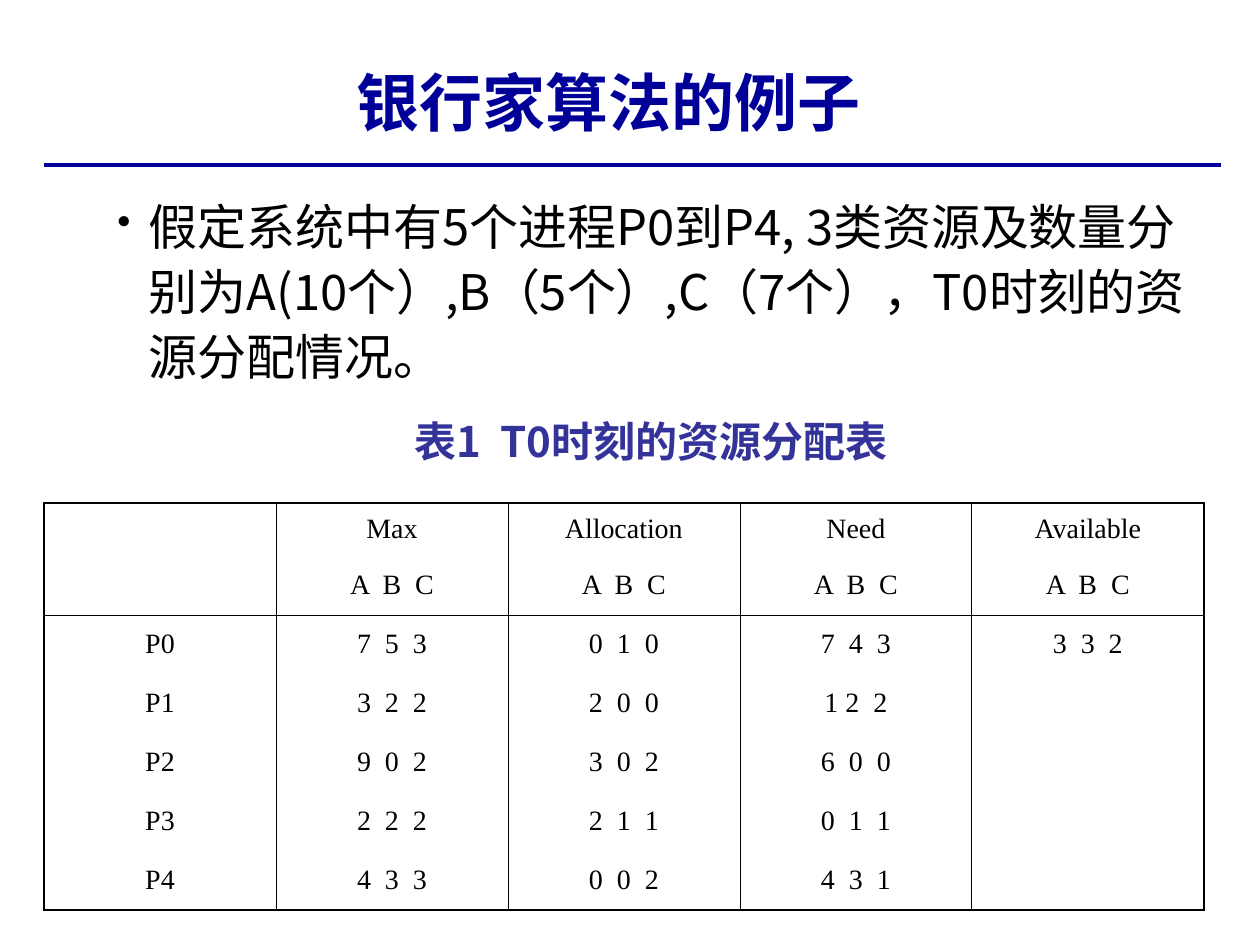
import pptx
import pptx.util
import pptx.dml.color
import pptx.enum.shapes
import pptx.enum.text
import pptx.oxml
import pptx.oxml.ns
from lxml import etree

RGB = pptx.dml.color.RGBColor
ALIGN = pptx.enum.text.PP_ALIGN
ANCHOR = pptx.enum.text.MSO_ANCHOR
Pt = pptx.util.Pt
qn = pptx.oxml.ns.qn

NAVY = RGB(0x00, 0x00, 0x99)
INDIGO = RGB(0x33, 0x33, 0x99)
BLACK = RGB(0x00, 0x00, 0x00)
SANS = "Noto Sans CJK SC"
SERIF = "Times New Roman"
SCALE = 914400 / 126
THICK, THIN = 1.08, 0.45

TITLE = {"name": SANS, "size": Pt(36), "bold": True}
BODY = {"name": SANS, "size": Pt(28), "bold": False}
LABEL = {"name": SANS, "size": Pt(24), "bold": True}
CELL = {"name": SERIF, "size": Pt(16), "bold": False}

ROWS = [
    ["", "Max", "Allocation", "Need", "Available"],
    ["", "A  B  C", "A  B  C", "A  B  C", "A  B  C"],
    ["P0", "7  5  3", "0  1  0", "7  4  3", "3  3  2"],
    ["P1", "3  2  2", "2  0  0", "1 2  2", ""],
    ["P2", "9  0  2", "3  0  2", "6  0  0", ""],
    ["P3", "2  2  2", "2  1  1", "0  1  1", ""],
    ["P4", "4  3  3", "0  0  2", "4  3  1", ""],
]


def px(num):
    return pptx.util.Emu(round(num * SCALE))


def write(para, text, form, color):
    run = para.add_run()
    run.text = text
    for key, value in form.items():
        setattr(run.font, key, value)
    run.font.color.rgb = color
    east = etree.SubElement(run.font._element, qn("a:ea"))
    east.set("typeface", form["name"])


def add_title(slide, text):
    shape = slide.shapes.title
    box = {"left": 230, "top": 35, "width": 756, "height": 110}
    for key, value in box.items():
        setattr(shape, key, px(value))
    frame = shape.text_frame
    frame.vertical_anchor = ANCHOR.BOTTOM
    para = frame.paragraphs[0]
    para.alignment = ALIGN.CENTER
    write(para, text, TITLE, NAVY)


def add_rule(slide, left, right, top):
    line = slide.shapes.add_connector(
        pptx.enum.shapes.MSO_CONNECTOR.STRAIGHT,
        px(left), px(top), px(right), px(top))
    line.line.color.rgb = NAVY
    line.line.width = Pt(2.5)
    etree.SubElement(line._element.spPr, qn("a:effectLst"))


def add_text(slide, box, text, form, color):
    shape = slide.shapes.add_textbox(*map(px, box))
    shape.text_frame.word_wrap = True
    para = shape.text_frame.paragraphs[0]
    write(para, text, form, color)
    return para


def add_bullet(para):
    props = para._p.get_or_add_pPr()
    props.set("marL", "228600")
    props.set("indent", "-228600")
    tint = etree.SubElement(props, qn("a:buClr"))
    etree.SubElement(tint, qn("a:srgbClr")).set("val", str(BLACK))
    etree.SubElement(props, qn("a:buSzPct")).set("val", "80000")
    etree.SubElement(props, qn("a:buChar")).set("char", "•")
    para.line_spacing = 1.1


def set_edge(cell, side, width):
    edge = etree.SubElement(cell._tc.get_or_add_tcPr(), qn("a:ln" + side))
    if not width:
        edge.set("w", "0")
        etree.SubElement(edge, qn("a:noFill"))
        return
    edge.set("w", str(Pt(width)))
    fill = etree.SubElement(edge, qn("a:solidFill"))
    etree.SubElement(fill, qn("a:srgbClr")).set("val", str(BLACK))


def fill_cell(cell, text, edges):
    for side, width in edges.items():
        set_edge(cell, side, width)
    cell.fill.background()
    cell.vertical_anchor = ANCHOR.MIDDLE
    para = cell.text_frame.paragraphs[0]
    para.alignment = ALIGN.CENTER
    if text:
        write(para, text, CELL, BLACK)


def add_grid(slide):
    high, wide = len(ROWS), len(ROWS[0])
    table = slide.shapes.add_table(
        high, wide, px(44), px(503), px(232 * wide), px(407)).table
    table.first_row = table.horz_banding = False
    for col in table.columns:
        col.width = px(232)
    for i, row in enumerate(ROWS):
        table.rows[i].height = px(59 if i else 53)
        for j, text in enumerate(row):
            # Thick frame, thin columns, one thin rule under the heading
            edges = {
                "L": THIN if j else THICK,
                "R": THIN if j < wide - 1 else THICK,
                "T": {0: THICK, 2: THIN}.get(i, 0),
                "B": {1: THIN, high - 1: THICK}.get(i, 0),
            }
            fill_cell(table.cell(i, j), text, edges)
    table.cell(0, 0).merge(table.cell(1, 0))


def main():
    deck = pptx.Presentation()
    deck.slide_width, deck.slide_height = px(1260), px(945)
    slide = deck.slides.add_slide(deck.slide_layouts[5])

    # Heading
    add_rule(slide, 44, 1221, 165)
    add_title(slide, "银行家算法的例子")

    # Problem statement
    para = add_text(
        slide, (105, 185, 1104, 228),
        "假定系统中有5个进程P0到P4, 3类资源及数量分别为"
        "A(10个）,B（5个）,C（7个），T0时刻的资源分配情况。",
        BODY, BLACK)
    add_bullet(para)

    # Table and its caption
    add_grid(slide)
    add_text(slide, (402, 409, 557, 63), "表1  T0时刻的资源分配表",
             LABEL, INDIGO)

    deck.save("out.pptx")


if __name__ == "__main__":
    main()
